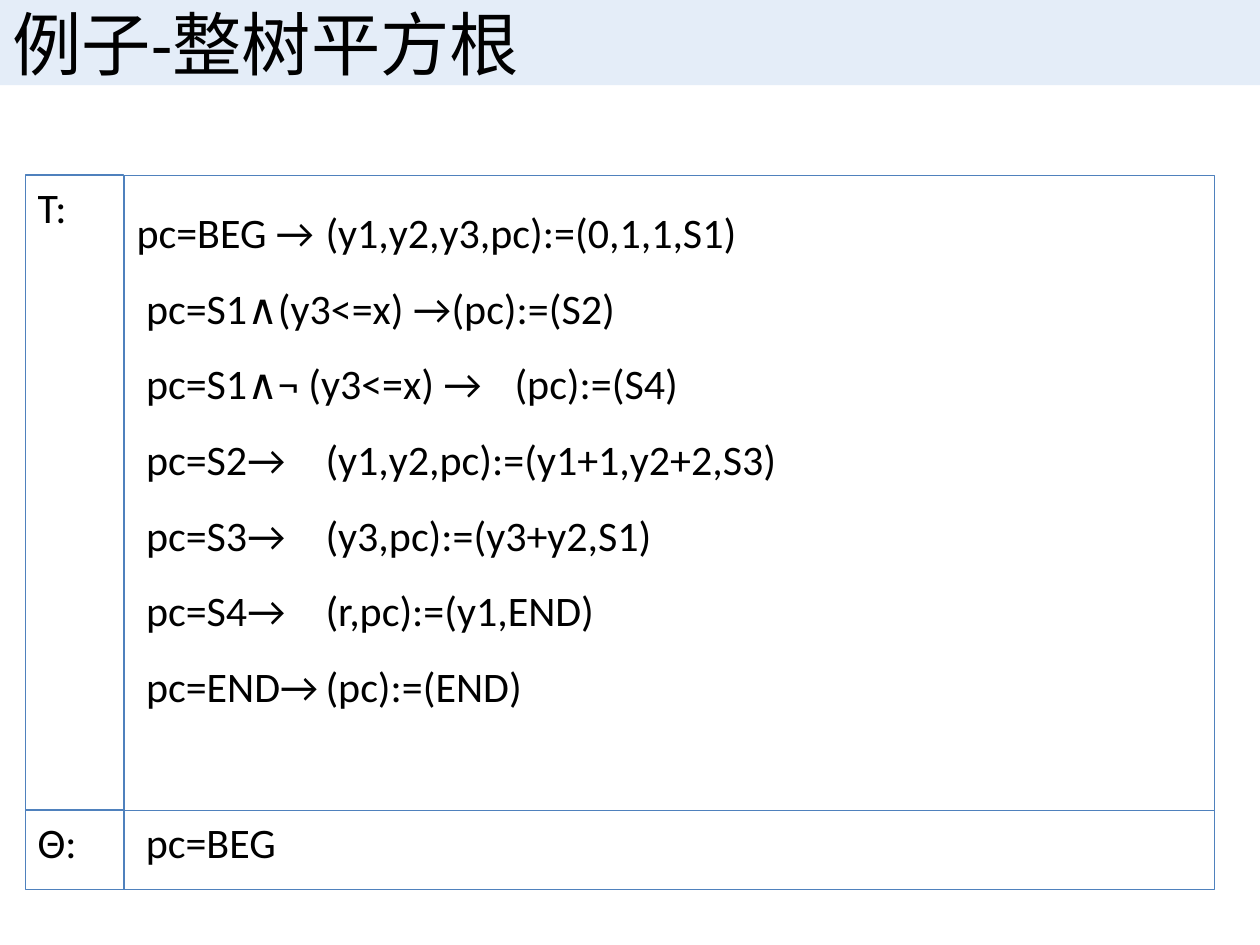
from dataclasses import dataclass

from lxml.etree import SubElement
from pptx import Presentation
from pptx.dml.color import RGBColor
from pptx.enum.shapes import MSO_SHAPE
from pptx.enum.text import MSO_ANCHOR, MSO_AUTO_SIZE, PP_ALIGN
from pptx.oxml.ns import qn
from pptx.shapes.autoshape import Shape
from pptx.util import Pt

COLORS = {"text": "000000", "line": "4F81BD", "band": "C6D9F1"}
LEFT, SPLIT, RIGHT = 14.4, 70.8, 694.1
TOP, MID, END = 100.1, 463, 508.3
TAB = 216


@dataclass
class Box:
    left: float
    top: float
    right: float
    end: float


@dataclass
class Rule:
    guard: str
    action: str


RULES = [
    Rule("pc=BEG →", "(y1,y2,y3,pc):=(0,1,1,S1)"),
    Rule(" pc=S1∧(y3<=x) →", "(pc):=(S2)"),
    Rule(" pc=S1∧¬ (y3<=x) →", "(pc):=(S4)"),
    Rule(" pc=S2→", "(y1,y2,pc):=(y1+1,y2+2,S3)"),
    Rule(" pc=S3→", "(y3,pc):=(y3+y2,S1)"),
    Rule(" pc=S4→", "(r,pc):=(y1,END)"),
    Rule(" pc=END→", "(pc):=(END)"),
]


def color(name: str) -> RGBColor:
    return RGBColor.from_string(COLORS[name])


def place(shape: Shape, box: Box) -> None:
    spot = {"left": box.left, "top": box.top,
            "width": box.right - box.left, "height": box.end - box.top}
    for key, value in spot.items():
        setattr(shape, key, Pt(value))


def write(shape: Shape, lines: list[str], size: float = 24,
          space: float = 1, anchor: MSO_ANCHOR = MSO_ANCHOR.TOP) -> None:
    """Fill the shape with plain left-aligned lines that share one tab stop."""
    frame = shape.text_frame
    frame.text = "\n".join(lines)
    form = {"word_wrap": True, "auto_size": MSO_AUTO_SIZE.NONE,
            "vertical_anchor": anchor}
    for key, value in form.items():
        setattr(frame, key, value)
    for para in frame.paragraphs:
        props = para._p.get_or_add_pPr()
        props.set("marL", "0")
        props.set("indent", "0")
        SubElement(props, qn("a:buNone"))
        if "\t" in para.text:
            tabs = SubElement(props, qn("a:tabLst"))
            SubElement(tabs, qn("a:tab"), pos=str(Pt(TAB)), algn="l")
        form = {"alignment": PP_ALIGN.LEFT, "line_spacing": space,
                "space_before": Pt(0)}
        for key, value in form.items():
            setattr(para, key, value)
        for run in para.runs:
            run.font.name = "Calibri"
            run.font.size = Pt(size)
            run.font.color.rgb = color("text")


def outline(shape: Shape) -> None:
    shape.fill.background()
    shape.line.color.rgb = color("line")
    shape.line.width = Pt(0.75)


def add_cell(slide, box: Box, text: str) -> None:
    cell = slide.shapes.add_shape(MSO_SHAPE.RECTANGLE, 0, 0, 0, 0)
    cell.shadow.inherit = False
    place(cell, box)
    outline(cell)
    write(cell, [text])


def add_title(slide, text: str) -> None:
    title = slide.shapes.title
    place(title, Box(0, 0, 720, 48.6))
    title.fill.solid()
    title.fill.fore_color.rgb = color("band")
    tint = title.fill._xPr.find(qn("a:solidFill"))[0]
    SubElement(tint, qn("a:alpha"), val="47000")
    write(title, [text], size=39.6, anchor=MSO_ANCHOR.MIDDLE)


def add_rules(slide) -> None:
    body = slide.placeholders[1]
    place(body, Box(SPLIT, TOP, RIGHT, MID))
    outline(body)
    write(body, [f"{rule.guard}\t{rule.action}" for rule in RULES], space=1.5)


def main() -> None:
    deck = Presentation()
    deck.slide_width, deck.slide_height = Pt(720), Pt(540)
    slide = deck.slides.add_slide(deck.slide_layouts[1])
    add_title(slide, "例子-整树平方根")
    add_rules(slide)
    add_cell(slide, Box(SPLIT, MID, RIGHT, END), " pc=BEG")
    add_cell(slide, Box(LEFT, MID, SPLIT, END), "Θ:")
    add_cell(slide, Box(LEFT, TOP, SPLIT, MID), "T:")
    deck.save("out.pptx")


if __name__ == "__main__":
    main()
